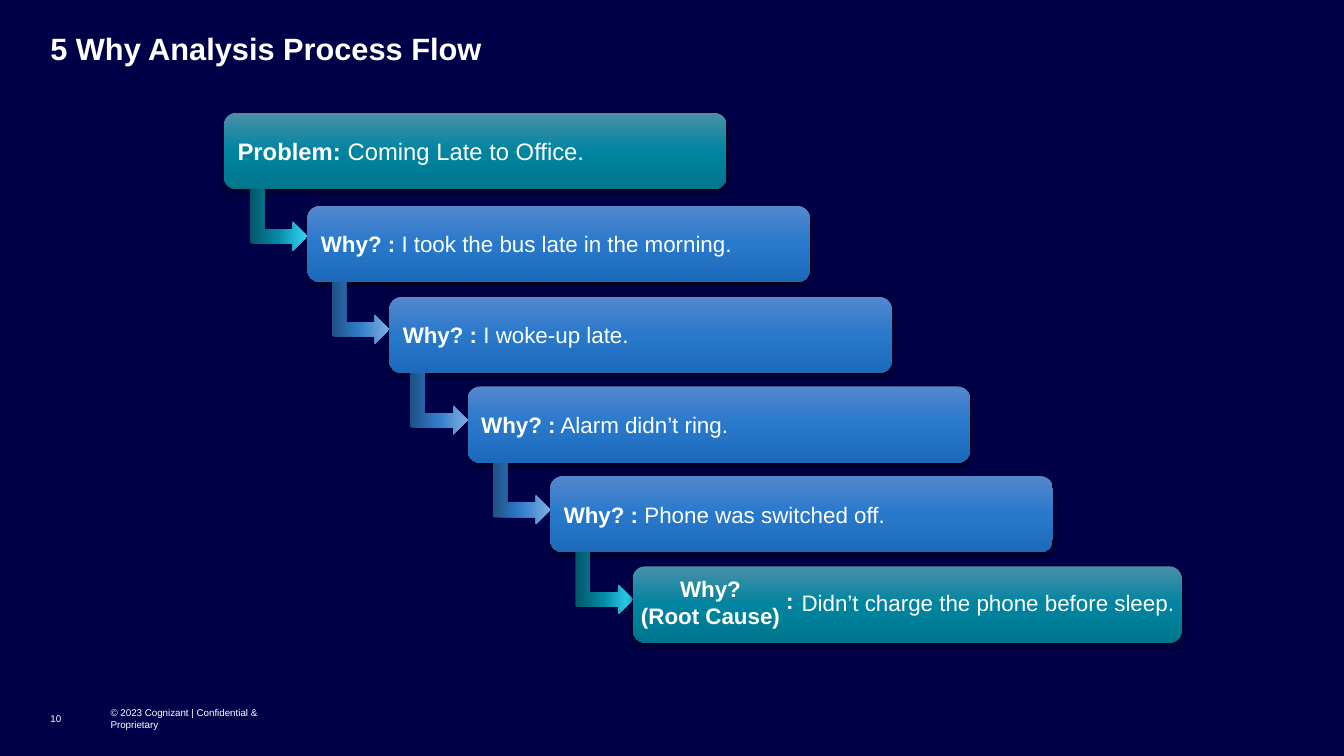
import pptx
import pptx.dml.color
import pptx.enum.shapes
import pptx.enum.text
import pptx.oxml
import pptx.oxml.ns
import pptx.util
from dataclasses import dataclass

Pt = pptx.util.Pt
SHAPE = pptx.enum.shapes.MSO_SHAPE
ALIGN = pptx.enum.text.PP_ALIGN
ANCHOR = pptx.enum.text.MSO_ANCHOR
NAMESPACE = pptx.oxml.ns.nsdecls("a")


@dataclass(frozen=True)
class Theme:
    font: str = "Arial"
    background: str = "000048"
    text: str = "FFFFFF"
    shadow: str = "000000"
    # Gradients: (position in percent, colour)
    teal_box: tuple = ((0, "4B90A8"), (50, "0084A0"), (100, "00768E"))
    blue_box: tuple = ((0, "5488CE"), (50, "2878CB"), (100, "1D6ABB"))
    teal_arrow: tuple = ((0, "035668"), (48, "0589A5"), (100, "34D6F8"))
    blue_arrow: tuple = ((0, "1F5083"), (48, "317CCA"), (100, "7EAEE0"))
    title_size: float = 22
    problem_size: float = 17
    why_size: float = 16
    footer_size: float = 7


class FlowSlide:
    def __init__(self, presentation, theme):
        self.theme = theme
        self.slide = presentation.slides.add_slide(presentation.slide_layouts[6])
        self.shapes = self.slide.shapes
        fill = self.slide.background.fill
        fill.solid()
        fill.fore_color.rgb = pptx.dml.color.RGBColor.from_string(theme.background)

    def start_group(self):
        self.shapes = self.slide.shapes.add_group_shape().shapes

    def style(self, paragraph, size, bold_runs):
        for run, bold in zip(paragraph.runs, bold_runs):
            run.font.name = self.theme.font
            run.font.size = Pt(size)
            run.font.bold = bold
            run.font.color.rgb = pptx.dml.color.RGBColor.from_string(self.theme.text)

    def text(self, content, left, top, width, height, size, bold=False,
             align=ALIGN.LEFT, anchor=ANCHOR.TOP, inset=True, spacing=None):
        box = self.shapes.add_textbox(Pt(left), Pt(top), Pt(width), Pt(height))
        frame = box.text_frame
        frame.word_wrap = True
        frame.vertical_anchor = anchor
        if not inset:
            frame.margin_left = frame.margin_right = 0
            frame.margin_top = frame.margin_bottom = 0
        frame.text = content
        for paragraph in frame.paragraphs:
            paragraph.alignment = align
            paragraph.line_spacing = spacing
            self.style(paragraph, size, [bold])

    def gradient_shape(self, kind, left, top, width, height, stops, angle):
        shape = self.shapes.add_shape(kind, Pt(left), Pt(top), Pt(width), Pt(height))
        shape.shadow.inherit = False
        shape.line.fill.background()
        colours = "".join(
            f'<a:gs pos="{position * 1000}"><a:srgbClr val="{colour}"/></a:gs>'
            for position, colour in stops)
        shape.fill.background()
        no_fill = shape._element.spPr.find(pptx.oxml.ns.qn("a:noFill"))
        no_fill.getparent().replace(no_fill, pptx.oxml.parse_xml(
            f'<a:gradFill {NAMESPACE} rotWithShape="1"><a:gsLst>{colours}</a:gsLst>'
            f'<a:lin ang="{angle * 60000}" scaled="0"/></a:gradFill>'))
        return shape

    def box(self, left, top, width, height, stops):
        shape = self.gradient_shape(SHAPE.ROUNDED_RECTANGLE, left, top, width, height, stops, 90)
        effects = shape._element.spPr.find(pptx.oxml.ns.qn("a:effectLst"))
        effects.append(pptx.oxml.parse_xml(
            f'<a:outerShdw {NAMESPACE} blurRad="{Pt(4.5)}" dist="{Pt(1.5)}" '
            f'dir="5400000" rotWithShape="0"><a:srgbClr val="{self.theme.shadow}">'
            f'<a:alpha val="63000"/></a:srgbClr></a:outerShdw>'))
        return shape

    def step(self, label, answer, left, top, width, height, stops, size):
        frame = self.box(left, top, width, height, stops).text_frame
        frame.word_wrap = True
        frame.vertical_anchor = ANCHOR.MIDDLE
        paragraph = frame.paragraphs[0]
        paragraph.alignment = ALIGN.LEFT
        for part in (label, answer):
            paragraph.add_run().text = part
        self.style(paragraph, size, [True, False])

    def arrow(self, left, top, stops):
        self.gradient_shape(SHAPE.BENT_UP_ARROW, left, top, 44, 41, stops, 270).rotation = 90


def main():
    theme = Theme()
    presentation = pptx.Presentation()
    presentation.slide_width = Pt(960)
    presentation.slide_height = Pt(540)
    flow = FlowSlide(presentation, theme)

    # Title and footer
    flow.text("5 Why Analysis Process Flow", 36, 24.5, 888, 26, theme.title_size,
              bold=True, inset=False, spacing=0.9)
    for content, left, width in (
            ("© 2023 Cognizant | Confidential & Proprietary", 79, 108), ("10", 36, 29)):
        flow.text(content, left, 504, width, 18, theme.footer_size,
                  anchor=ANCHOR.MIDDLE, inset=False)

    # Staircase of questions
    step_width, step_height = 359, 54.5
    problem = (theme.teal_box, theme.problem_size)
    why = (theme.blue_box, theme.why_size)
    steps = [
        ("Problem: ", "Coming Late to Office.", 160, 80.5, problem),
        ("Why? :", " I took the bus late in the morning.", 219.5, 147, why),
        ("Why? :", " I woke-up late.", 278, 212, why),
        ("Why? :", " Alarm didn’t ring.", 334, 276, why),
        ("Why? :", " Phone was switched off.", 393, 340, why),
    ]
    for label, answer, left, top, (stops, size) in steps:
        flow.step(label, answer, left, top, step_width, step_height, stops, size)

    # Arrows from each step to the next one
    root_left, root_top = 452, 404.5
    targets = [left for _, _, left, _, _ in steps[1:]] + [root_left]
    for index, (source, target) in enumerate(zip(steps, targets)):
        at_end = index in (0, len(steps) - 1)
        flow.arrow(target - 42.5, source[3] + 56,
                   theme.teal_arrow if at_end else theme.blue_arrow)

    # Root cause
    flow.start_group()
    flow.box(root_left, root_top, 392, step_height, theme.teal_box)
    flow.text("Didn’t charge the phone before sleep.", 565.5, 417, 283, 26.5, theme.why_size)
    flow.text("Why?\n(Root Cause)", 448.5, 407.5, 118, 46, theme.why_size,
              bold=True, align=ALIGN.CENTER)
    flow.text(":", 554.5, 416, 19, 26.5, theme.why_size, bold=True)

    presentation.save("out.pptx")


if __name__ == "__main__":
    main()
